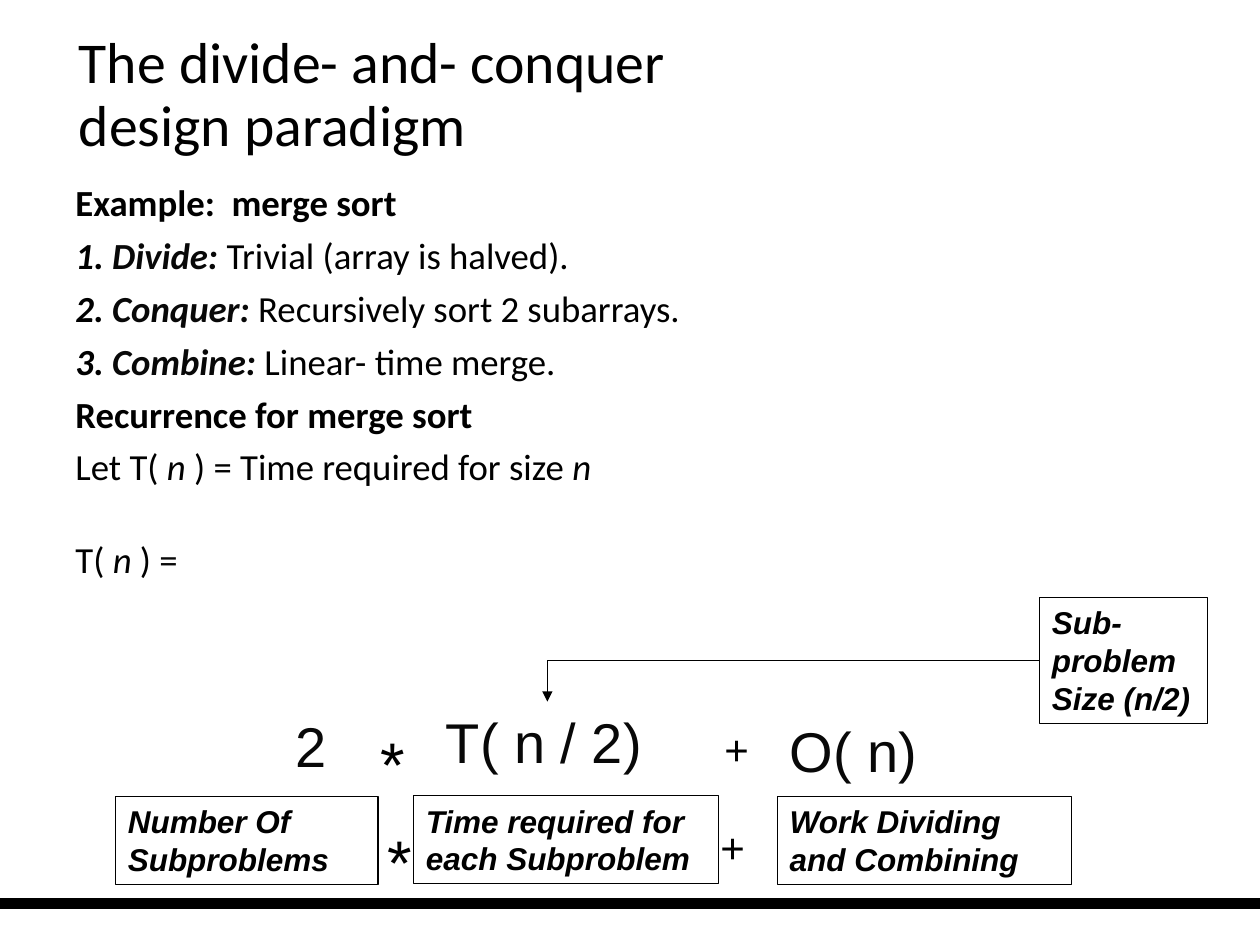
from dataclasses import dataclass

from lxml.etree import SubElement
from pptx import Presentation
from pptx.dml.color import RGBColor
from pptx.enum.shapes import MSO_CONNECTOR, MSO_SHAPE
from pptx.enum.text import MSO_ANCHOR, PP_ALIGN
from pptx.oxml.ns import qn
from pptx.util import Pt


@dataclass(frozen=True)
class Theme:
    """Colours, fonts and type sizes of the slide."""
    black: RGBColor = RGBColor(0, 0, 0)
    ink: RGBColor = RGBColor(8, 8, 8)
    text_font: str = "Calibri"
    formula_font: str = "Arial"
    title: int = 33
    body: int = 21
    label: int = 18
    term: int = 32
    times: int = 36
    plus: int = 24
    thin: float = 0.74
    bar: int = 6


THEME = Theme()
LINE_SPACING = 0.9
PARA_GAP = 7.5

# Each span: text, style letters (b bold, i italic, k ink colour)
BODY = [
    [("Example:  merge sort", "b")],
    [("1. ", "bi"), ("Divide: ", "bik"), ("Trivial (array is halved).", "")],
    [("2. ", "bi"), ("Conquer: ", "bik"), ("Recursively sort 2 subarrays.", "")],
    [("3. ", "bi"), ("Combine: ", "bik"), ("Linear- time merge.", "")],
    [("Recurrence for merge sort", "b")],
    [("Let T( ", ""), ("n", "i"), (" ) = Time required for size ", ""), ("n", "i")],
    [("T( ", ""), ("n", "i"), (" ) ", ""), ("=", "k")],
]

# Text, left, top, width, height, size, colour
FORMULA = [
    ("2", 162, 403.2, 42, 46, THEME.term, THEME.ink),
    ("*", 210.2, 410.4, 42, 50, THEME.times, THEME.black),
    ("T( n / 2)", 247.7, 401, 130.3, 46, THEME.term, THEME.ink),
    ("+", 406.8, 409.7, 42, 36, THEME.plus, THEME.black),
    ("O( n)", 444.2, 406, 90, 46, THEME.term, THEME.ink),
    ("*", 214.6, 466.6, 42, 50, THEME.times, THEME.black),
    ("+", 404.6, 465.8, 42, 36, THEME.plus, THEME.black),
]

# Paragraphs, left, top, width, height
LABELS = [
    ("Number Of Subproblems", 66, 455, 150, 50.4),
    ("Time required for each Subproblem", 236.2, 454.5, 174.2, 50.4),
    ("Work Dividing and Combining", 444.2, 455, 168, 50.4),
]
SIZE_LABEL = ("Sub-problem\nSize (n/2)", 594, 341.3, 96, 72)


def style_font(font, name, size, color, bold=False, italic=False):
    """Set every property of a font."""
    font.name, font.size = name, Pt(size)
    font.bold, font.italic = bold, italic
    font.color.rgb = color


def add_text(page, text, left, top, width, height, size, color, name=THEME.formula_font):
    """Add a wrapped, plain text box and return it."""
    box = page.shapes.add_textbox(Pt(left), Pt(top), Pt(width), Pt(height))
    box.text_frame.word_wrap = True
    box.text_frame.text = text
    for para in box.text_frame.paragraphs:
        for span in para.runs:
            style_font(span.font, name, size, color)
    return box


def add_title(page):
    """Add the two-line title."""
    box = add_text(page, "", 38, 0, 556, 110, THEME.title, THEME.black)
    box.text_frame.vertical_anchor = MSO_ANCHOR.MIDDLE
    para = box.text_frame.paragraphs[0]
    para.text = "The divide- and- conquer \vdesign paradigm"
    para.line_spacing = LINE_SPACING
    for span in para.runs:
        style_font(span.font, THEME.text_font, THEME.title, THEME.black)


def add_body(page):
    """Add the example and the recurrence as one text box."""
    frame = add_text(page, "", 36, 102.2, 660, 408, THEME.body, THEME.black).text_frame
    frame.text = "\n" * (len(BODY) - 1)
    for para, spans in zip(frame.paragraphs, BODY):
        para.line_spacing = LINE_SPACING
        para.space_before = Pt(PARA_GAP)
        for text, style in spans:
            span = para.add_run()
            span.text = text
            color = THEME.ink if "k" in style else THEME.black
            style_font(span.font, THEME.text_font, THEME.body, color,
                       "b" in style, "i" in style)
    frame.paragraphs[-1].space_before = Pt(4 * PARA_GAP)


def add_label(page, text, left, top, width, height):
    """Add an outlined box with bold italic text and return it."""
    box = page.shapes.add_shape(MSO_SHAPE.RECTANGLE, Pt(left), Pt(top), Pt(width), Pt(height))
    box.shadow.inherit = False
    box.fill.background()
    box.line.color.rgb = THEME.black
    box.line.width = Pt(THEME.thin)
    frame = box.text_frame
    frame.word_wrap = True
    frame.vertical_anchor = MSO_ANCHOR.TOP
    frame.text = text
    for para in frame.paragraphs:
        para.alignment = PP_ALIGN.LEFT
        for span in para.runs:
            style_font(span.font, THEME.formula_font, THEME.label, THEME.black, True, True)
    return box


def add_line(page, kind, start, end, width):
    """Add a black connector without shadow and return it."""
    line = page.shapes.add_connector(kind, *map(Pt, start + end))
    line.line.color.rgb = THEME.black
    line.line.width = Pt(width)
    SubElement(line._element.spPr, qn("a:effectLst"))
    return line


def add_size_arrow(page, label, term):
    """Lead from the left of the label to the top of the term, with one bend."""
    arrow = add_line(page, MSO_CONNECTOR.ELBOW, (594, 377.3), (312.8, 401), THEME.thin)
    arrow.begin_connect(label, 1)
    arrow.end_connect(term, 0)
    properties = arrow._element.spPr
    properties.find(qn("a:prstGeom")).set("prst", "bentConnector2")
    SubElement(properties.find(qn("a:ln")), qn("a:tailEnd"), type="triangle")


def main():
    """Build and save the slide."""
    deck = Presentation()
    deck.slide_width, deck.slide_height = Pt(720), Pt(540)
    page = deck.slides.add_slide(deck.slide_layouts[6])
    add_line(page, MSO_CONNECTOR.STRAIGHT, (0, 516.2), (720, 516.2), THEME.bar)
    add_title(page)
    add_body(page)
    terms = {item[0]: add_text(page, *item) for item in FORMULA}
    for item in LABELS:
        add_label(page, *item)
    size_label = add_label(page, *SIZE_LABEL)
    add_size_arrow(page, size_label, terms["T( n / 2)"])
    deck.save("out.pptx")


main()
